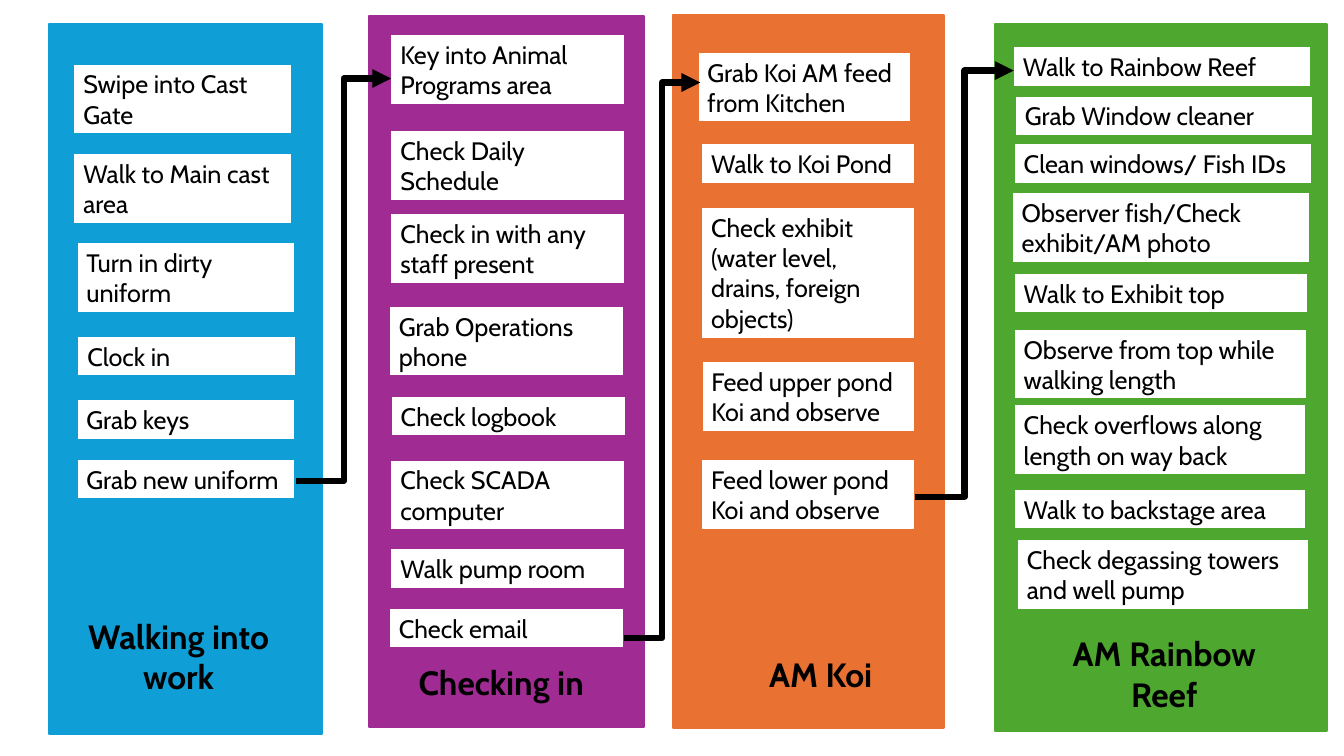
from dataclasses import dataclass
from typing import Any

from lxml.etree import SubElement
from pptx import Presentation as Deck
from pptx.dml.color import RGBColor as Color
from pptx.enum.shapes import MSO_CONNECTOR as Link, MSO_SHAPE as Form
from pptx.enum.text import MSO_ANCHOR as Anchor, MSO_AUTO_SIZE as Fit, PP_ALIGN as Align
from pptx.oxml.ns import qn
from pptx.shapes.autoshape import Shape
from pptx.slide import Slide
from pptx.util import Cm, Pt


@dataclass(frozen=True)
class Theme:
    font: str = "Cabin"
    ink: str = "000000"
    paper: str = "FFFFFF"
    blue: str = "0F9ED5"
    purple: str = "A02B93"
    orange: str = "E97132"
    green: str = "4EA72E"
    body: float = 18
    head: float = 24
    edge: float = 1.5
    arrow: float = 4.5


@dataclass(frozen=True)
class Box:
    left: float
    top: float
    wide: float
    high: float


@dataclass(frozen=True)
class Step:
    text: str
    left: float
    top: float
    lines: int = 1
    wide: float = 0


@dataclass(frozen=True)
class Lane:
    title: str
    label: Box
    panel: Box
    hue: str
    wide: float
    steps: tuple[Step, ...]


@dataclass(frozen=True)
class Arrow:
    start: tuple[float, float]
    end: tuple[float, float]


THEME = Theme()
FRAME = {"word_wrap": True, "auto_size": Fit.NONE, "vertical_anchor": Anchor.MIDDLE}
STEP_FONT = {"name": THEME.font, "size": Pt(THEME.body), "bold": False}
HEAD_FONT = {"name": THEME.font, "size": Pt(THEME.head), "bold": True}
STEP_PARA = {"alignment": Align.LEFT}
HEAD_PARA = {"alignment": Align.CENTER, "space_before": Pt(0)}

LANES = (
    Lane("Walking into work", Box(1.73, 15.37, 5.54, 2.31),
         Box(1.24, 0.61, 6.88, 17.88), THEME.blue, 5.51, (
             Step("Swipe into Cast Gate", 1.85, 1.6, 2),
             Step("Walk to Main cast area", 1.85, 3.86, 2),
             Step("Turn in dirty uniform", 1.93, 6.1, 2),
             Step("Clock in", 1.95, 8.46),
             Step("Grab keys", 1.93, 10.06),
             Step("Grab new uniform", 1.93, 11.56))),
    Lane("Checking in", Box(9.86, 16.54, 5.54, 1.27),
         Box(9.3, 0.41, 6.93, 17.91), THEME.purple, 5.92, (
             Step("Key into Animal Programs area", 9.84, 0.86, 2),
             Step("Check Daily Schedule", 9.84, 3.28, 2),
             Step("Check in with any staff present", 9.84, 5.36, 2),
             Step("Grab Operations phone", 9.8, 7.7, 2),
             Step("Check logbook", 9.85, 9.98),
             Step("Check SCADA computer", 9.84, 11.58, 2),
             Step("Walk pump room", 9.84, 13.82),
             Step("Check email", 9.8, 15.32))),
    Lane("AM Koi", Box(17.91, 16.36, 5.54, 1.27),
         Box(16.97, 0.38, 6.81, 17.96), THEME.orange, 5.38, (
             Step("Grab Koi AM feed from Kitchen", 17.58, 1.3, 2),
             Step("Walk to Koi Pond", 17.67, 3.61),
             Step("Check exhibit (water level, drains, foreign objects)", 17.67, 5.21, 4),
             Step("Feed upper pond Koi and observe", 17.68, 9.09, 2),
             Step("Feed lower pond Koi and observe", 17.67, 11.56, 2))),
    Lane("AM Rainbow Reef", Box(26.57, 15.82, 5.54, 2.31),
         Box(25.07, 0.61, 8.36, 17.81), THEME.green, 7.52, (
             Step("Walk to Rainbow Reef", 25.53, 1.17),
             Step("Grab Window cleaner", 25.58, 2.41),
             Step("Clean windows/ Fish IDs", 25.55, 3.61),
             Step("Observer fish/Check exhibit/AM photo", 25.5, 4.83, 2),
             Step("Walk to Exhibit top", 25.55, 6.88, 1, 7.42),
             Step("Observe from top while walking length", 25.55, 8.28, 2, 7.39),
             Step("Check overflows along length on way back", 25.55, 10.19, 2, 7.37),
             Step("Walk to backstage area", 25.55, 12.32, 1, 7.37),
             Step("Check degassing towers and well pump", 25.63, 13.59, 2, 7.37))),
)

ARROWS = (
    Arrow((7.47, 12.12), (9.86, 1.98)),
    Arrow((15.72, 16.08), (17.65, 2.08)),
    Arrow((23.06, 12.52), (25.55, 1.78)),
)


def apply(target: Any, values: dict[str, Any]) -> None:
    for name, value in values.items():
        setattr(target, name, value)


def place(box: Box) -> dict[str, int]:
    return {"left": Cm(box.left), "top": Cm(box.top),
            "width": Cm(box.wide), "height": Cm(box.high)}


def write(shape: Shape, text: str, font: dict[str, Any], para: dict[str, Any]) -> None:
    frame = shape.text_frame
    apply(frame, FRAME)
    line = frame.paragraphs[0]
    apply(line, para)
    run = line.add_run()
    run.text = text
    apply(run.font, font)
    run.font.color.rgb = Color.from_string(THEME.ink)


def draw_box(slide: Slide, box: Box, fill: str, edge: str) -> Shape:
    shape = slide.shapes.add_shape(Form.RECTANGLE, *place(box).values())
    shape.shadow.inherit = False
    shape.fill.solid()
    shape.fill.fore_color.rgb = Color.from_string(fill)
    shape.line.color.rgb = Color.from_string(edge)
    shape.line.width = Pt(THEME.edge)
    return shape


def draw_step(slide: Slide, step: Step, lane: Lane) -> None:
    high = round(0.25 + 0.77 * step.lines, 2)
    box = Box(step.left, step.top, step.wide or lane.wide, high)
    write(draw_box(slide, box, THEME.paper, lane.hue), step.text, STEP_FONT, STEP_PARA)


def draw_lane(slide: Slide, lane: Lane, holder: Any) -> None:
    draw_box(slide, lane.panel, lane.hue, lane.hue)
    for step in lane.steps:
        draw_step(slide, step, lane)
    apply(holder, place(lane.label))
    write(holder, lane.title, HEAD_FONT, HEAD_PARA)
    props = holder.text_frame.paragraphs[0]._p.get_or_add_pPr()
    for name in ("marL", "indent"):
        props.set(name, "0")
    SubElement(props, qn("a:buNone"))
    slide.shapes._spTree.append(holder._element)


def draw_arrow(slide: Slide, arrow: Arrow) -> None:
    ends = [Cm(value) for value in arrow.start + arrow.end]
    link = slide.shapes.add_connector(Link.ELBOW, *ends)
    link.line.color.rgb = Color.from_string(THEME.ink)
    link.line.width = Pt(THEME.arrow)
    SubElement(link.line._get_or_add_ln(), qn("a:tailEnd"), type="triangle")
    SubElement(link._element.spPr, qn("a:effectLst"))


def main() -> None:
    deck = Deck()
    apply(deck, {"slide_width": Cm(33.87), "slide_height": Cm(19.05)})
    slide = deck.slides.add_slide(deck.slide_layouts[4])
    holders = list(slide.placeholders)
    for spare in holders[len(LANES):]:
        slide.shapes._spTree.remove(spare._element)
    for lane, holder in zip(LANES, holders):
        draw_lane(slide, lane, holder)
    for arrow in ARROWS:
        draw_arrow(slide, arrow)
    deck.save("out.pptx")


if __name__ == "__main__":
    main()
